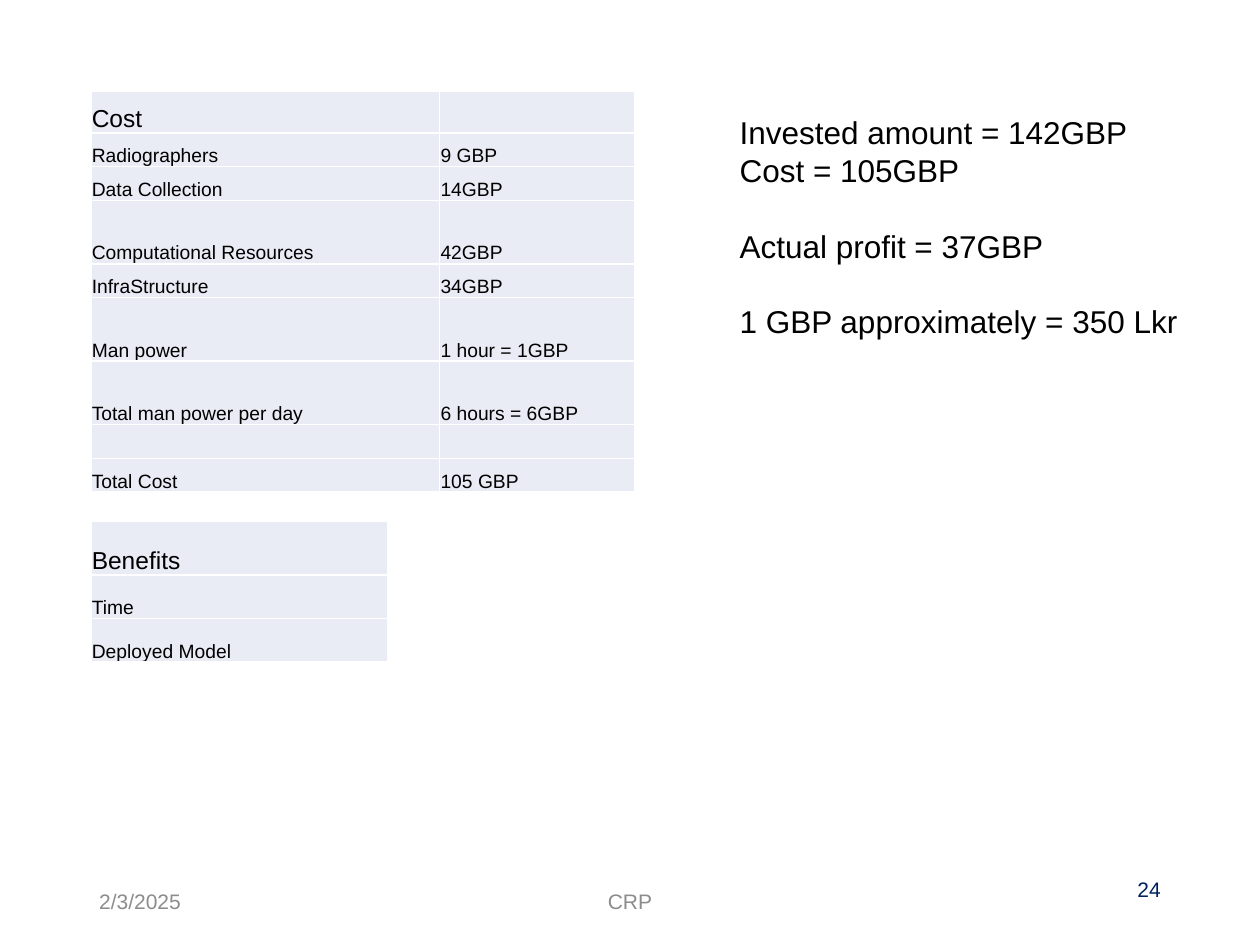
from lxml import etree
from pptx import Presentation
from pptx import util as u
from pptx.dml.color import RGBColor
from pptx.enum import text
from pptx.oxml import ns

COLORS = {"ink": "000000", "muted": "8C8C8C", "navy": "002060",
          "cell": "E9EBF5", "border": "FFFFFF"}
FONT = "Arial"
HEAD_SIZE, ROW_SIZE, FOOTER_SIZE, SUMMARY_SIZE = 14, 11, 12, 18
LINE_PITCH = u.Pt(21.6)

COSTS = [
    ("Cost", ""),
    ("Radiographers", "9 GBP"),
    ("Data Collection", "14GBP"),
    ("Computational Resources", "42GBP"),
    ("InfraStructure", "34GBP"),
    ("Man power", "1 hour = 1GBP"),
    ("Total man power per day", "6 hours = 6GBP"),
    ("", ""),
    ("Total Cost", "105 GBP"),
]
SHORT, TALL = 0.68, 1.28
COST_HEIGHTS = [0.85, SHORT, SHORT, TALL, SHORT, TALL, TALL, SHORT, SHORT]
BENEFITS = [("Benefits",), ("Time",), ("Deployed Model",)]
# Each line with whether a gap of one line comes before it
SUMMARY = [
    ("Invested amount = 142GBP", False),
    ("Cost = 105GBP", False),
    ("Actual profit = 37GBP", True),
    ("1 GBP approximately = 350 Lkr", True),
]


def set_all(target, values):
    for name, value in values.items():
        setattr(target, name, value)


def write(paragraph, words, size, color="ink"):
    run = paragraph.add_run()
    run.text = words
    set_all(run.font, {"name": FONT, "size": u.Pt(size)})
    run.font.color.rgb = RGBColor.from_string(COLORS[color])


def add_borders(cell):
    """Draw a 1 pt line on all four sides; lines must precede the fill."""
    properties = cell._tc.get_or_add_tcPr()
    for index, side in enumerate(("lnL", "lnR", "lnT", "lnB")):
        line = etree.Element(ns.qn(f"a:{side}"), w=str(u.Pt(1)))
        fill = etree.SubElement(line, ns.qn("a:solidFill"))
        etree.SubElement(fill, ns.qn("a:srgbClr"), val=COLORS["border"])
        properties.insert(index, line)


def fill_cell(cell, words, size):
    set_all(cell, {
        "margin_left": u.Cm(0.02), "margin_right": u.Cm(0.02),
        "margin_top": u.Cm(0.02), "margin_bottom": 0,
        "vertical_anchor": text.MSO_ANCHOR.BOTTOM,
    })
    cell.fill.solid()
    cell.fill.fore_color.rgb = RGBColor.from_string(COLORS["cell"])
    add_borders(cell)
    paragraph = cell.text_frame.paragraphs[0]
    if words:
        write(paragraph, words, size)
    else:
        # An empty cell keeps its row low through the end-mark size
        etree.SubElement(paragraph._p, ns.qn("a:endParaRPr"), sz=str(size * 100))


def add_grid(slide, left, top, widths, heights, rows):
    table = slide.shapes.add_table(
        len(rows), len(widths), u.Cm(left), u.Cm(top),
        u.Cm(sum(widths)), u.Cm(sum(heights))).table
    set_all(table, {"first_row": False, "horz_banding": False})
    for column, width in zip(table.columns, widths):
        column.width = u.Cm(width)
    for index, (row, height, entries) in enumerate(zip(table.rows, heights, rows)):
        row.height = u.Cm(height)
        for cell, words in zip(row.cells, entries):
            fill_cell(cell, words, ROW_SIZE if index else HEAD_SIZE)


def add_frame(slide, left, top, width, height, anchor):
    frame = slide.shapes.add_textbox(
        u.Cm(left), u.Cm(top), u.Cm(width), u.Cm(height)).text_frame
    set_all(frame, {"word_wrap": True, "vertical_anchor": anchor})
    return frame


def add_footer(slide, place, words, alignment, color):
    frame = add_frame(slide, *place, text.MSO_ANCHOR.MIDDLE)
    frame.paragraphs[0].alignment = alignment
    write(frame.paragraphs[0], words, FOOTER_SIZE, color)


def add_summary(slide):
    frame = add_frame(slide, 14.66, 2.16, 10.03, 4.88, text.MSO_ANCHOR.TOP)
    frame.auto_size = text.MSO_AUTO_SIZE.SHAPE_TO_FIT_TEXT
    for index, (words, gap) in enumerate(SUMMARY):
        paragraph = frame.add_paragraph() if index else frame.paragraphs[0]
        paragraph.line_spacing = LINE_PITCH
        if gap:
            paragraph.space_before = LINE_PITCH
        write(paragraph, words, SUMMARY_SIZE)


def main():
    deck = Presentation()
    set_all(deck, {"slide_width": u.Cm(25.4), "slide_height": u.Cm(19.05)})
    slide = deck.slides.add_slide(deck.slide_layouts[6])

    add_grid(slide, 1.83, 1.83, [7.03, 3.94], COST_HEIGHTS, COSTS)
    align = text.PP_ALIGN
    add_footer(slide, (1.75, 17.65, 5.72, 1.02), "2/3/2025", align.LEFT, "muted")
    add_footer(slide, (8.41, 17.65, 8.58, 1.02), "CRP", align.CENTER, "muted")
    add_footer(slide, (17.93, 17.17, 5.72, 1.52), "24", align.RIGHT, "navy")
    add_grid(slide, 1.83, 10.5, [5.99], [1.09, 0.88, 0.88], BENEFITS)
    add_summary(slide)

    deck.save("out.pptx")


if __name__ == "__main__":
    main()
